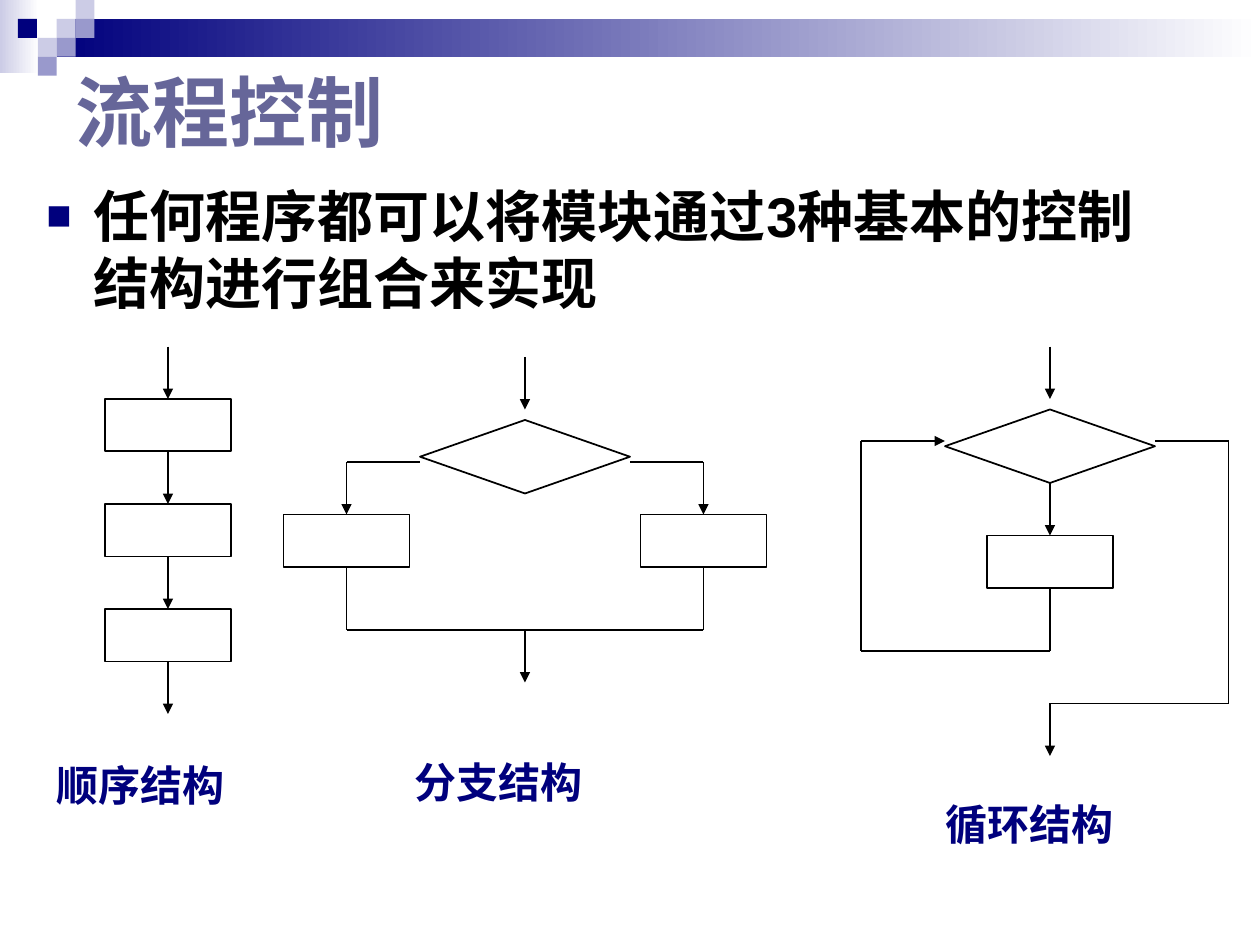
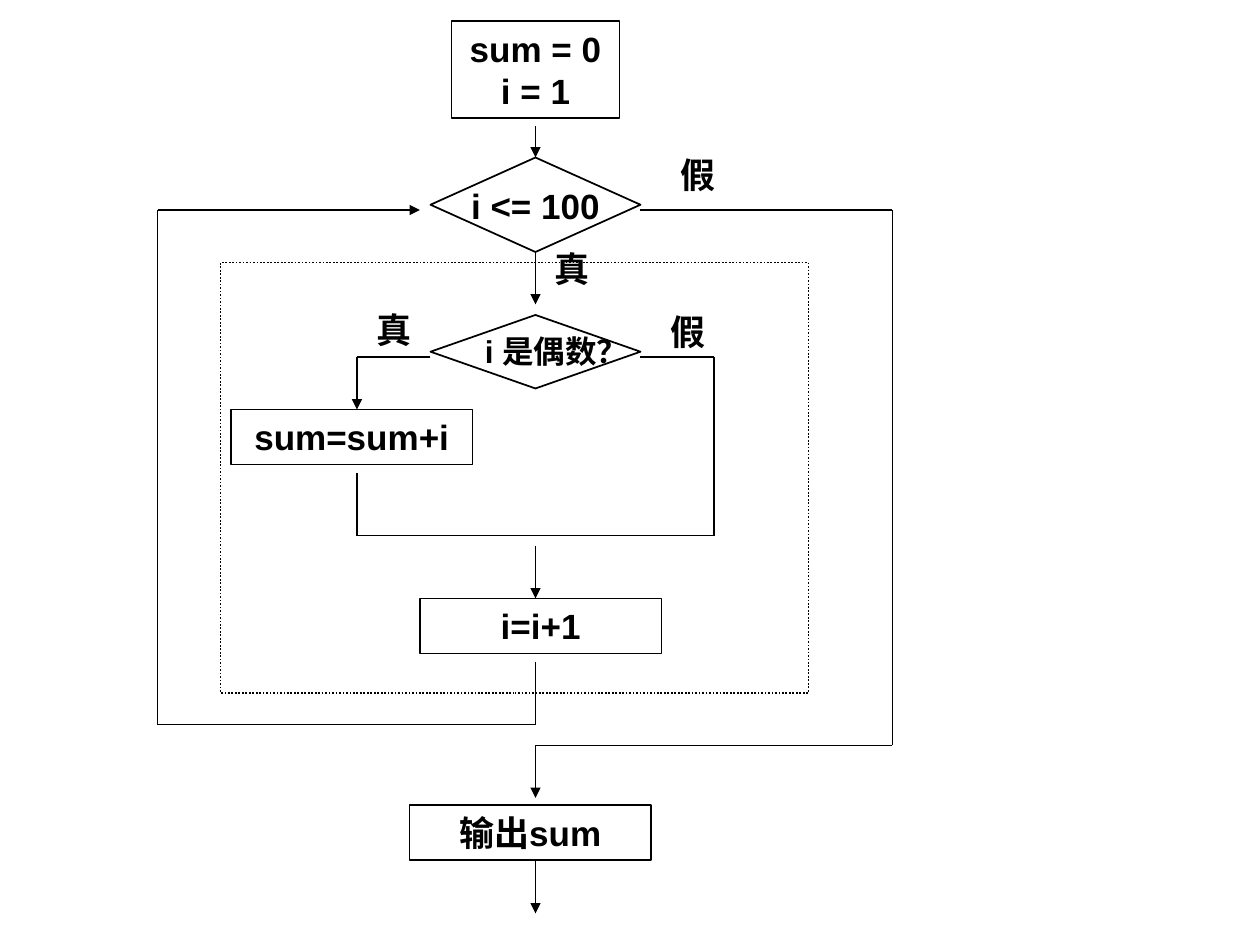
from itertools import pairwise

from pptx import Presentation
from pptx.dml.color import RGBColor
from pptx.enum.dml import MSO_LINE
from pptx.enum.shapes import MSO_CONNECTOR, MSO_SHAPE
from pptx.enum.text import MSO_ANCHOR, PP_ALIGN
from pptx.oxml.ns import qn
from pptx.util import Pt
from lxml import etree

RECT, DIAMOND = MSO_SHAPE.RECTANGLE, MSO_SHAPE.DIAMOND
STRAIGHT = MSO_CONNECTOR.STRAIGHT
DOTTED = MSO_LINE.ROUND_DOT
LEFT, CENTER = PP_ALIGN.LEFT, PP_ALIGN.CENTER
TOP, MIDDLE = MSO_ANCHOR.TOP, MSO_ANCHOR.MIDDLE
TITLE_ONLY, BLANK = 5, 6

COLORS = {
    "navy": "00007D",
    "lilac": "9999CC",
    "pale": "CCCCE6",
    "title": "666699",
    "ink": "000000",
    "white": "FFFFFF",
}
LATIN, CJK = "Arial", "Noto Sans CJK SC"
LINE_WIDTH = 1
TILE = 10.8
STEP_W, STEP_H = 72, 30
DIAMOND_W = 120
CODE_W, CODE_H = 138, 31.5


def rgb(name):
    """Return the palette colour called name."""
    return RGBColor.from_string(COLORS[name])


def write(frame, lines, size, color="ink", align=CENTER, anchor=TOP, latin=LATIN):
    """Fill a text frame with bold lines, one paragraph each."""
    frame.word_wrap = True
    frame.vertical_anchor = anchor
    frame.margin_left = frame.margin_right = Pt(7.2)
    frame.margin_top = frame.margin_bottom = Pt(3.6)
    for number, line in enumerate(lines):
        paragraph = frame.add_paragraph() if number else frame.paragraphs[0]
        paragraph.alignment = align
        run = paragraph.add_run()
        run.text = line
        font = run.font
        font.name, font.size, font.bold = latin, Pt(size), True
        font.color.rgb = rgb(color)
        east_asian = etree.SubElement(run._r.get_or_add_rPr(), qn("a:ea"))
        east_asian.set("typeface", CJK)


def add_label(slide, text, x, y, w, h, size=20, **style):
    """Add free text with no frame and return its text frame."""
    frame = slide.shapes.add_textbox(Pt(x), Pt(y), Pt(w), Pt(h)).text_frame
    write(frame, [text], size, **style)
    return frame


def add_node(slide, kind, x, y, w, h, lines=(), dash=None):
    """Add an unfilled, outlined flowchart node."""
    node = slide.shapes.add_shape(kind, Pt(x), Pt(y), Pt(w), Pt(h))
    node.shadow.inherit = False
    node.fill.background()
    node.line.color.rgb = rgb("ink")
    node.line.width = Pt(LINE_WIDTH)
    if dash:
        node.line.dash_style = dash
    write(node.text_frame, lines, 20)


def add_route(slide, *points, arrow=True):
    """Join points by straight lines, with an arrowhead at the last one."""
    for (x1, y1), (x2, y2) in pairwise(points):
        segment = slide.shapes.add_connector(STRAIGHT, Pt(x1), Pt(y1), Pt(x2), Pt(y2))
        segment.line.color.rgb = rgb("ink")
        segment.line.width = Pt(LINE_WIDTH)
        etree.SubElement(segment._element.spPr, qn("a:effectLst"))
    if arrow:
        head = etree.SubElement(segment.line._get_or_add_ln(), qn("a:tailEnd"))
        head.set("type", "triangle")


def add_block(slide, x, y, w, h, color, fade=False):
    """Add a borderless block, solid or fading to white on the right."""
    block = slide.shapes.add_shape(RECT, Pt(x), Pt(y), Pt(w), Pt(h))
    block.shadow.inherit = False
    block.line.fill.background()
    if fade:
        block.fill.gradient()
        block.fill.gradient_angle = 0
        for stop, name in zip(block.fill.gradient_stops, (color, "white")):
            stop.color.rgb = rgb(name)
    else:
        block.fill.solid()
        block.fill.fore_color.rgb = rgb(color)


def add_band(slide):
    """Draw the fading header band and its mosaic of tiles."""
    add_block(slide, 0, 0, 22.3, 41.8, "pale", fade=True)
    add_block(slide, 3 * TILE, TILE, 687.6, 21.6, "navy", fade=True)
    tiles = [(3, 1, "pale"), (4, 0, "pale"), (4, 1, "lilac"), (2, 2, "pale"),
             (0.95, 1, "navy"), (3, 2, "lilac"), (2, 3, "lilac")]
    for column, row, color in tiles:
        add_block(slide, column * TILE, row * TILE, TILE, TILE, color)


def add_title(slide, text):
    """Place and write the slide title."""
    title = slide.shapes.title
    title.left, title.top, title.width, title.height = Pt(36), Pt(9.4), Pt(648), Pt(108)
    write(title.text_frame, [text], 44, "title", LEFT, MIDDLE)


def add_bullet(slide, text, x, y, w, h):
    """Add a paragraph with a square navy bullet."""
    frame = add_label(slide, text, x, y, w, h, 32, align=LEFT)
    properties = frame.paragraphs[0]._p.get_or_add_pPr()
    properties.set("marL", str(Pt(27)))
    properties.set("indent", str(-Pt(27)))
    color = etree.SubElement(properties, qn("a:buClr"))
    etree.SubElement(color, qn("a:srgbClr")).set("val", COLORS["navy"])
    etree.SubElement(properties, qn("a:buSzPct")).set("val", "75000")
    etree.SubElement(properties, qn("a:buFont")).set("typeface", LATIN)
    etree.SubElement(properties, qn("a:buChar")).set("char", "■")


def add_caption(slide, text, x, y):
    """Name a control structure below its chart."""
    frame = add_label(slide, text, x, y, 138, 30, 24, color="navy", align=LEFT, latin=CJK)
    frame.paragraphs[0].line_spacing = 0.9


def add_step(slide, center, top):
    """Add an empty step box centred on a flow line."""
    add_node(slide, RECT, center - STEP_W / 2, top, STEP_W, STEP_H)


def draw_sequence(slide, center):
    """Draw three steps in a row."""
    for top in range(228, 409, 60):
        add_route(slide, (center, top - 30), (center, top))
        if top < 408:
            add_step(slide, center, top)
    add_caption(slide, "顺序结构", 25.2, 434)


def draw_branch(slide, center):
    """Draw a decision with two branches that meet again."""
    add_route(slide, (center, 204), (center, 234))
    add_node(slide, DIAMOND, center - DIAMOND_W / 2, 240, DIAMOND_W, 42)
    for side in (-1, 1):
        corner, branch = center + side * DIAMOND_W / 2, center + side * 102
        add_route(slide, (corner, 264), (branch, 264), (branch, 294))
        add_step(slide, branch, 294)
        add_route(slide, (branch, 324), (branch, 360), (center, 360), arrow=False)
    add_route(slide, (center, 360), (center, 390))
    add_caption(slide, "分支结构", 229.7, 432)


def draw_loop(slide, center):
    """Draw a decision whose step leads back to it."""
    left, right = center - DIAMOND_W / 2, center + DIAMOND_W / 2
    add_route(slide, (center, 198), (center, 228))
    add_node(slide, DIAMOND, left, 234, DIAMOND_W, 42)
    add_route(slide, (center, 276), (center, 306))
    add_step(slide, center, 306)
    add_route(slide, (center, 336), (center, 372), (492, 372), (492, 252), (left, 252))
    add_route(slide, (right, 252), (702, 252), (702, 402), (center, 402), (center, 432))
    add_caption(slide, "循环结构", 533.5, 455.8)


def build_structures(deck):
    """Build the slide on the three control structures."""
    slide = deck.slides.add_slide(deck.slide_layouts[TITLE_ONLY])
    add_band(slide)
    add_title(slide, "流程控制")
    add_bullet(slide, "任何程序都可以将模块通过3种基本的控制结构进行组合来实现",
               19.4, 100, 635.8, 91.4)
    draw_sequence(slide, 96)
    draw_branch(slide, 300)
    draw_loop(slide, 600)


def build_even_sum(deck):
    """Build the flowchart that sums the even numbers up to 100."""
    slide = deck.slides.add_slide(deck.slide_layouts[BLANK])
    center, yes, no = 306, 204, 408
    left, right = center - DIAMOND_W / 2, center + DIAMOND_W / 2

    add_node(slide, RECT, 258, 12, 96, 55.5, ["sum = 0", "i = 1"])
    add_node(slide, DIAMOND, left, 90, DIAMOND_W, 54)
    add_node(slide, RECT, 126, 150, 336, 246, dash=DOTTED)
    add_node(slide, DIAMOND, left, 180, DIAMOND_W, 42)
    for code, x, y in [("sum=sum+i", 132, 234), ("i=i+1", 240, 342), ("输出sum", 234, 460)]:
        add_node(slide, RECT, x, y, CODE_W, CODE_H, [code])

    for start, end in [(72, 90), (144, 174), (312, 342), (492, 522)]:
        add_route(slide, (center, start), (center, end))
    add_route(slide, (center, 378), (center, 414), (90, 414), (90, 120), (240, 120))
    add_route(slide, (right, 120), (510, 120), (510, 426), (center, 426), (center, 456))
    add_route(slide, (left, 204), (yes, 204), (yes, 234))
    add_route(slide, (right, 204), (no, 204), (no, 306), (yes, 306), (yes, 270), arrow=False)

    add_label(slide, "i <= 100", left, 102, DIAMOND_W, CODE_H)
    add_label(slide, "i 是偶数？", 258, 186, DIAMOND_W, 28.8, 18)
    for answer, x, y in [("真", 306, 138), ("真", 204, 173), ("假", 372, 174), ("假", 378, 84)]:
        add_label(slide, answer, x, y, 42, CODE_H)


def main():
    """Build and save the deck."""
    deck = Presentation()
    deck.slide_width, deck.slide_height = Pt(720), Pt(540)
    build_structures(deck)
    build_even_sum(deck)
    deck.save("out.pptx")


main()
